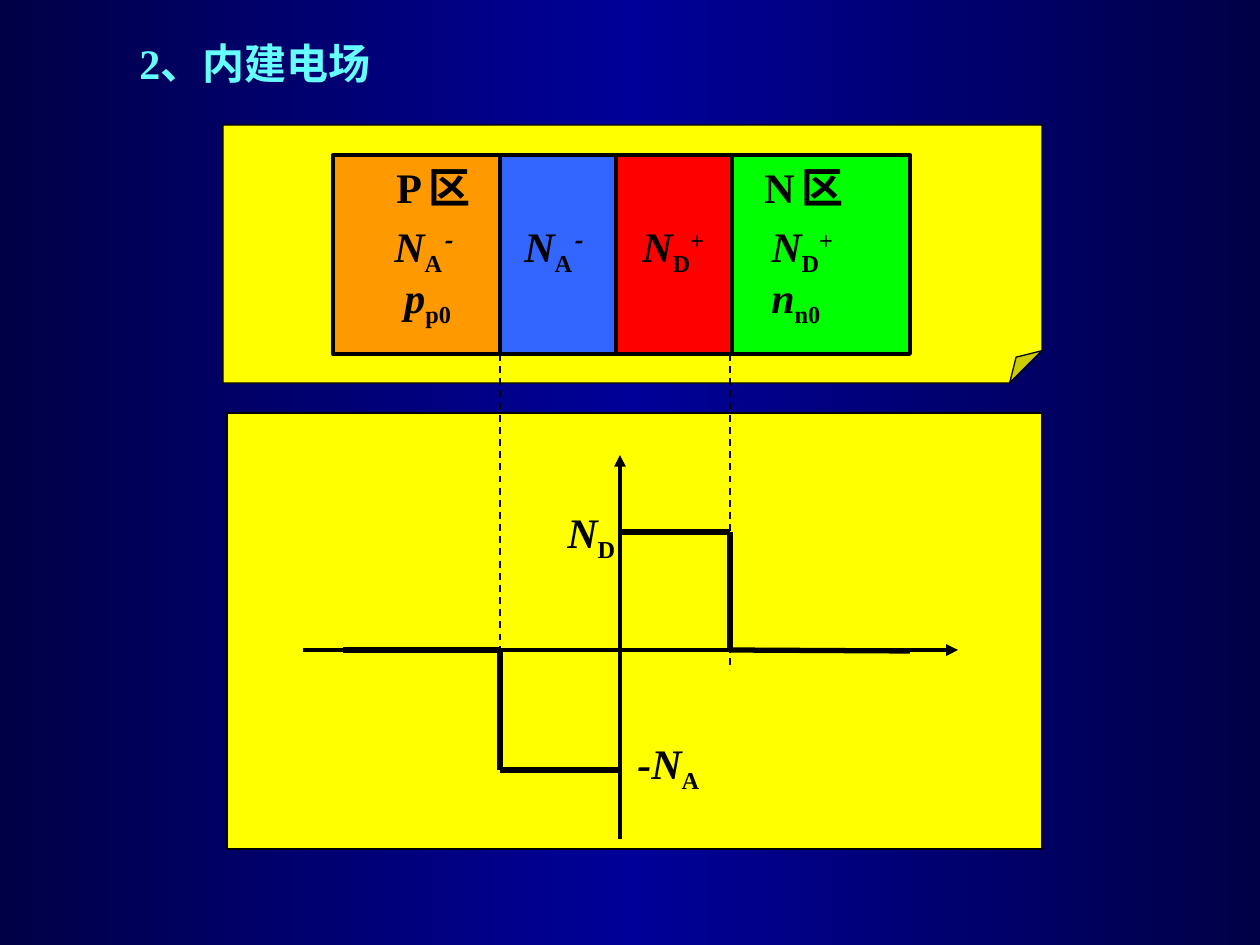
from copy import deepcopy
from itertools import pairwise

from lxml.etree import SubElement
from pptx import Presentation
from pptx.dml.color import RGBColor
from pptx.enum.dml import MSO_LINE
from pptx.enum.shapes import MSO_CONNECTOR, MSO_SHAPE
from pptx.enum.text import MSO_AUTO_SIZE
from pptx.oxml.ns import qn
from pptx.util import Emu, Pt

LATIN = "Times New Roman"
CJK = "Noto Sans CJK SC"
BLACK = "000000"
YELLOW = "FFFF00"

# Runs are (text, options)
ITALIC = {"italic": True}
SUB = {"baseline": -25000}
SUPER = {"baseline": 30000}
SUPER_MINUS = {"baseline": 30000, "italic": True, "font": CJK}
ACCEPTORS = [("N", ITALIC), ("A", SUB)]
DONORS = [("N", ITALIC), ("D", SUB)]
ACCEPTOR_IONS = ACCEPTORS + [("-", SUPER_MINUS)]
DONOR_IONS = DONORS + [("+", SUPER)]


def px(value):
    return Emu(round(value * 914400 / 126))


def color(value):
    return RGBColor.from_string(value)


def set_background(slide, colors):
    fill = slide.background.fill
    fill.gradient()
    fill.gradient_angle = 0
    stop_list = slide.element.find(".//" + qn("a:gsLst"))
    stop_list.append(deepcopy(stop_list[0]))
    for index, (stop, value) in enumerate(zip(fill.gradient_stops, colors)):
        stop.position = index / (len(colors) - 1)
        stop.color.rgb = color(value)


def add_box(shapes, bounds, fill, line_width, preset=MSO_SHAPE.RECTANGLE):
    shape = shapes.add_shape(preset, *map(px, bounds))
    shape.shadow.inherit = False
    shape.fill.solid()
    shape.fill.fore_color.rgb = color(fill)
    shape.line.color.rgb = color(BLACK)
    shape.line.width = Pt(line_width)
    return shape


def add_text(shapes, bounds, runs, text_color=BLACK):
    box = shapes.add_textbox(*map(px, bounds))
    frame = box.text_frame
    frame.word_wrap = True
    frame.auto_size = MSO_AUTO_SIZE.SHAPE_TO_FIT_TEXT
    paragraph = frame.paragraphs[0]
    paragraph.font.bold = True
    paragraph.font.color.rgb = color(text_color)
    for text, options in runs:
        run = paragraph.add_run()
        run.text = text
        font = run.font
        font.name = options.get("font", LATIN)
        font.size = Pt(options.get("size", 24))
        font.bold = True
        font.italic = options.get("italic", False)
        font.color.rgb = color(text_color)
        properties = run._r.get_or_add_rPr()
        SubElement(properties, qn("a:ea")).set("typeface", CJK)
        if "baseline" in options:
            properties.set("baseline", str(options["baseline"]))
    return paragraph


def add_line(shapes, start, end, width, dashed=False, arrow=False):
    line = shapes.add_connector(MSO_CONNECTOR.STRAIGHT, *map(px, start + end))
    line.line.color.rgb = color(BLACK)
    line.line.width = Pt(width)
    if dashed:
        line.line.dash_style = MSO_LINE.DASH
    if arrow:
        outline = line._element.spPr.find(qn("a:ln"))
        SubElement(outline, qn("a:tailEnd")).set("type", "triangle")
    SubElement(line._element.spPr, qn("a:effectLst"))


def add_junction(shapes):
    # Sheet with a small folded corner
    sheet = add_box(shapes, (223, 125, 819, 258), YELLOW, 0.75, MSO_SHAPE.FOLDED_CORNER)
    adjustments = sheet._element.spPr.find(".//" + qn("a:avLst"))
    for guide in list(adjustments):
        adjustments.remove(guide)
    SubElement(adjustments, qn("a:gd"), name="adj", fmla="val 12500")

    # N and P regions, then the two depleted layers on top of them
    for left, width, fill in [(616, 294, "00FF00"), (333, 283, "FF9900"),
                              (500, 116, "3366FF"), (616, 116, "FF0000")]:
        add_box(shapes, (left, 155, width, 199), fill, 2.25)

    # Region names
    for left, width, letter in [(384, 136, "P"), (752, 158, "N")]:
        add_text(shapes, (left, 155, width, 63),
                 [(letter, {}), (" ", {"size": 16}), ("区", {})])

    # Ions and carriers
    for left, top, width, runs in [
        (512, 214, 95, ACCEPTOR_IONS),
        (630, 214, 95, DONOR_IONS),
        (382, 214, 126, ACCEPTOR_IONS),
        (392, 265, 126, [("p", ITALIC), ("p0", SUB)]),
        (759, 214, 129, DONOR_IONS),
        (759, 265, 116, [("n", ITALIC), ("n0", SUB)]),
    ]:
        add_text(shapes, (left, top, width, 63), runs)


def add_charge_plot(shapes):
    left, center, right = 500, 620, 730
    axis, donor_level, acceptor_level = 650, 532, 770

    # Axes
    add_line(shapes, (303, axis), (958, axis), 2.25, arrow=True)
    add_line(shapes, (center, 839), (center, 455), 2.25, arrow=True)

    # Charge steps on both sides of the junction
    acceptor_step = [(343, axis), (left, axis), (left, acceptor_level), (center, acceptor_level)]
    donor_step = [(center, donor_level), (right, donor_level), (right, axis), (910, axis + 1)]
    for points in (acceptor_step, donor_step):
        for start, end in pairwise(points):
            add_line(shapes, start, end, 3)

    # Depletion edges
    for edge in (left, right):
        add_line(shapes, (edge, 354), (edge, 670), 1, dashed=True)

    # Level labels
    add_text(shapes, (625, 731, 95, 63), [("-N", ITALIC), ("A", SUB)])
    add_text(shapes, (555, 500, 95, 63), DONORS)


def main():
    presentation = Presentation()
    presentation.slide_width, presentation.slide_height = px(1260), px(945)
    slide = presentation.slides.add_slide(presentation.slide_layouts[6])
    set_background(slide, ["000047", "000099", "000047"])

    add_box(slide.shapes, (227, 413, 815, 436), YELLOW, 0.75)
    add_junction(slide.shapes.add_group_shape().shapes)
    add_charge_plot(slide.shapes)

    # Title
    title = add_text(slide.shapes, (33, 26, 955, 68), [("2、内建电场", {})], "66FFFF")
    title.line_spacing = 1.1
    title._p.get_or_add_pPr().set("marL", str(px(94)))

    presentation.save("out.pptx")


if __name__ == "__main__":
    main()
